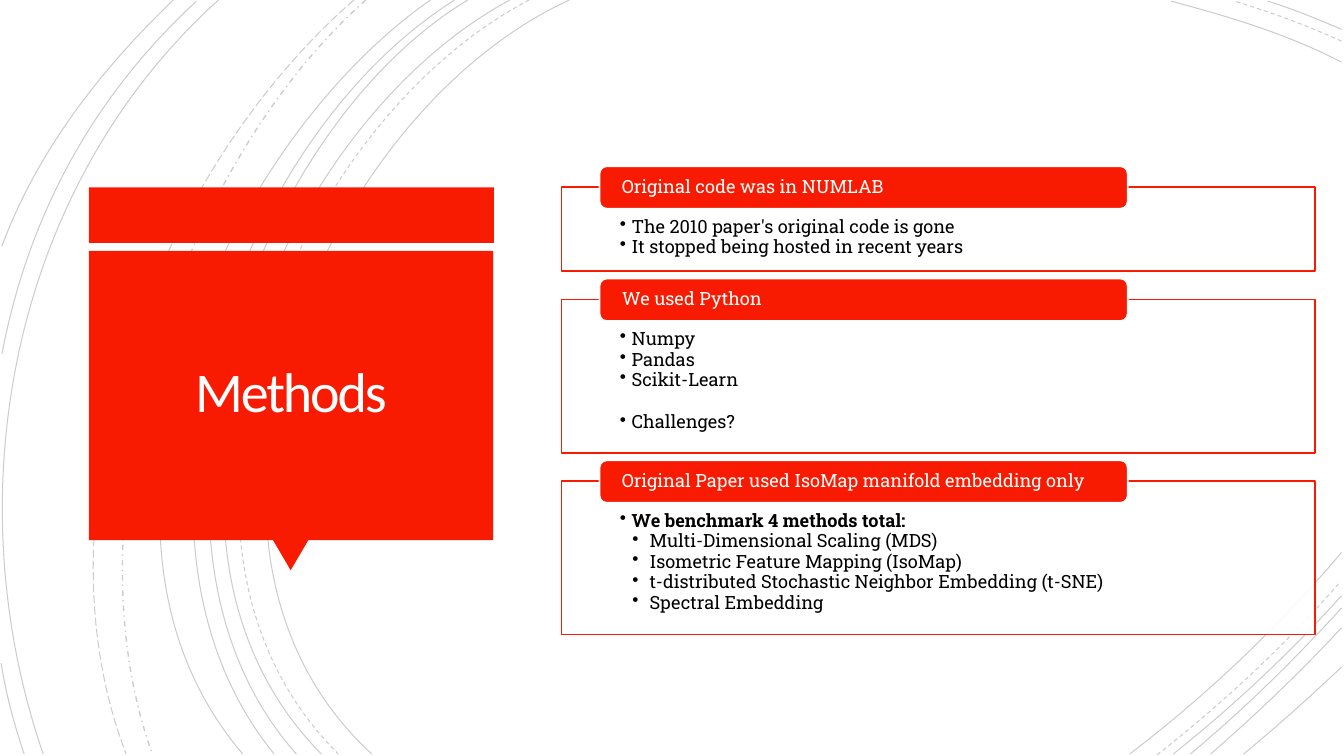
from lxml import etree
from pptx import Presentation
from pptx.dml.color import RGBColor
from pptx.enum.dml import MSO_LINE
from pptx.enum.shapes import MSO_SHAPE
from pptx.enum.text import MSO_ANCHOR, PP_ALIGN
from pptx.oxml.ns import qn
from pptx.util import Cm, Pt

RECTANGLE = MSO_SHAPE.RECTANGLE
ROUNDED = MSO_SHAPE.ROUNDED_RECTANGLE
TRIANGLE = MSO_SHAPE.ISOSCELES_TRIANGLE
TOP, MIDDLE = MSO_ANCHOR.TOP, MSO_ANCHOR.MIDDLE
LEFT, CENTER = PP_ALIGN.LEFT, PP_ALIGN.CENTER
SOLID, DASH = MSO_LINE.SOLID, MSO_LINE.DASH
LONG_DASH, DASH_DOT = MSO_LINE.LONG_DASH, MSO_LINE.DASH_DOT

RED, WHITE, BLACK, TITLE_WHITE = "F81B02", "FFFFFF", "000000", "FFFEFF"
BODY_FONT, TITLE_FONT = "Roboto Slab", "Calibri"

ARCS = [
    (SOLID, 0.75, [
        [(14.35, 0), (8, 2.92), (3.63, 13.72), (9.37, 19)],
        [(33.81, 1.57), (32.46, 0.86), (30.94, 0.41), (29.51, 0.03)],
        [(28.47, 19), (30.4, 17.53), (32.23, 15.8), (33.81, 13.92)],
        [(12.85, 0), (6.86, 3.23), (2.79, 13.64), (8.1, 19)],
        [(33.81, 0.74), (33.2, 0.48), (32.59, 0.23), (31.95, 0.03)],
        [(29.57, 19), (31.06, 17.81), (32.51, 16.46), (33.81, 15.01)],
        [(11.79, 0), (6.2, 3.38), (2.79, 13.74), (7.47, 19)],
        [(30, 19), (31.34, 17.88), (32.61, 16.64), (33.81, 15.32)],
        [(11.46, 0), (5.87, 3.51), (2.46, 13.54), (6.91, 19)],
        [(30.51, 19), (31.65, 18.01), (32.77, 16.94), (33.81, 15.82)],
        [(10.85, 0), (5.51, 3.73), (1.35, 13.44), (6.12, 19)],
        [(31.34, 19), (32.18, 18.31), (32.99, 17.58), (33.81, 16.81)],
        [(5.51, 0), (0.28, 4.7), (-1.17, 12.45), (1.09, 19)],
        [(4.95, 0.03), (2.34, 2.44), (0.71, 5.44), (0.05, 8.92)],
        [(0.03, 16.71), (0.15, 17.5), (0.36, 18.26), (0.61, 19)],
        [(4.37, 0), (2.54, 1.75), (0.94, 3.81), (0.05, 6.2)],
    ]),
    (DASH, 0.75, [
        [(13.34, 0), (7.24, 3.18), (3.12, 13.64), (8.53, 19)],
        [(33.81, 1.04), (32.94, 0.64), (32, 0.3), (31.12, 0.03)],
        [(29.16, 19.02), (30.81, 17.73), (32.39, 16.26), (33.78, 14.66)],
    ]),
    (DASH_DOT, 1, [[(9.22, 0), (4.47, 4.22), (1.65, 12.93), (3.84, 19)]]),
    (LONG_DASH, 0.75, [[(8.92, 0), (3.99, 4.29), (0.74, 12.67), (3.18, 19)]]),
]

PANELS = [
    ("Original code was in NUMLAB", 2.11, [
        ("The 2010 paper's original code is gone", 0, False, 0),
        ("It stopped being hosted in recent years", 0, False, 0),
    ]),
    ("We used Python", 3.86, [
        ("Numpy", 0, False, 0),
        ("Pandas", 0, False, 0),
        ("Scikit-Learn", 0, False, 0),
        ("Challenges?", 0, False, 15.6),
    ]),
    ("Original Paper used IsoMap manifold embedding only", 3.86, [
        ("We benchmark 4 methods total:", 0, True, 0),
        ("Multi-Dimensional Scaling (MDS)", 1, False, 0),
        ("Isometric Feature Mapping (IsoMap)", 1, False, 0),
        ("t-distributed Stochastic Neighbor Embedding (t-SNE)", 1, False, 0),
        ("Spectral Embedding", 1, False, 0),
    ]),
]
BULLET_INDENTS = [(0.3, -0.3), (0.75, -0.43)]
PANEL_TOP, PANEL_GAP = 4.72, 0.72


def color(hex_string):
    """Return the colour for a hex string."""
    return RGBColor.from_string(hex_string)


def set_opacity(shape, percent):
    """Set the opacity of the first colour in the shape's properties."""
    first_color = shape._element.spPr.find(".//" + qn("a:srgbClr"))
    etree.SubElement(first_color, qn("a:alpha"), val=str(percent * 1000))


def add_arc(slide, points, dash, width):
    """Draw one faint background curve through Bézier control points."""
    start, *others = [(Cm(x), Cm(y)) for x, y in points]
    builder = slide.shapes.build_freeform(*start)
    builder.add_line_segments(others, close=False)
    shape = builder.convert_to_shape()
    segments = list(shape._element.iter(qn("a:lnTo")))
    curve = etree.SubElement(segments[0].getparent(), qn("a:cubicBezTo"))
    for segment in segments:
        curve.append(segment[0])
        segment.getparent().remove(segment)
    shape.shadow.inherit = False
    shape.fill.background()
    shape.line.color.rgb = color(BLACK)
    shape.line.width = Pt(width)
    shape.line.dash_style = dash
    set_opacity(shape, 20)


def add_box(slide, kind, bounds, fill, line=None):
    """Add a filled preset shape with an optional outline."""
    shape = slide.shapes.add_shape(kind, *[Cm(length) for length in bounds])
    shape.shadow.inherit = False
    shape.fill.solid()
    shape.fill.fore_color.rgb = color(fill)
    if line:
        shape.line.color.rgb = color(line)
        shape.line.width = Pt(1.25)
    else:
        shape.line.fill.background()
    return shape


def set_frame(shape, anchor, side, top, bottom):
    """Set anchor, wrapping and margins, and return the text frame."""
    frame = shape.text_frame
    frame.word_wrap = True
    frame.vertical_anchor = anchor
    frame.margin_left = frame.margin_right = Cm(side)
    frame.margin_top, frame.margin_bottom = Cm(top), Cm(bottom)
    return frame


def write(paragraph, text, font, size, hex_string, align=LEFT, spacing=0.9):
    """Fill a paragraph and return its formatted run."""
    paragraph.text = text
    paragraph.alignment = align
    paragraph.line_spacing = spacing
    run = paragraph.runs[0]
    run.font.name = font
    run.font.size = Pt(size)
    run.font.color.rgb = color(hex_string)
    return run


def add_bullet(paragraph, level):
    """Give a paragraph a hanging bullet at the given level."""
    margin, indent = BULLET_INDENTS[level]
    properties = paragraph._p.get_or_add_pPr()
    properties.set("marL", str(Cm(margin)))
    properties.set("indent", str(Cm(indent)))
    etree.SubElement(properties, qn("a:buChar"), char="•")


def add_title(slide):
    """Add the red title block with its band and pointer."""
    add_box(slide, RECTANGLE, (2.24, 4.72, 10.21, 1.4), RED)
    pointer = add_box(slide, TRIANGLE, (6.88, 13.61, 0.89, 0.76), RED)
    pointer.rotation = 180
    block = add_box(slide, RECTANGLE, (2.24, 6.32, 10.19, 7.29), RED)
    frame = set_frame(block, MIDDLE, 0.64, 0.64, 0.64)
    run = write(frame.paragraphs[0], "Methods", TITLE_FONT, 40, TITLE_WHITE,
                CENTER, 0.85)
    run._r.get_or_add_rPr().set("spc", "-150")


def add_panel(slide, top, height, heading, lines):
    """Add an outlined panel of bullets with a heading tab."""
    panel = add_box(slide, RECTANGLE, (14.15, top, 19, height), WHITE, RED)
    set_opacity(panel, 90)
    frame = set_frame(panel, TOP, 1.47, 0.76, 0.25)
    frame.text = "\n".join(line[0] for line in lines)
    for paragraph, (text, level, bold, before) in zip(frame.paragraphs, lines):
        run = write(paragraph, text, BODY_FONT, 13, BLACK)
        run.font.bold = bold
        paragraph.space_before = Pt(before)
        paragraph.space_after = Pt(0.6)
        add_bullet(paragraph, level)
    tab = add_box(slide, ROUNDED, (15.11, top - 0.53, 13.31, 1.07), RED, WHITE)
    frame = set_frame(tab, MIDDLE, 0.51, 0, 0)
    write(frame.paragraphs[0], heading, BODY_FONT, 13, WHITE)


def main():
    """Build the slide and save it."""
    presentation = Presentation()
    presentation.slide_width, presentation.slide_height = Cm(33.87), Cm(19.05)
    slide = presentation.slides.add_slide(presentation.slide_layouts[6])
    for dash, width, curves in ARCS:
        for points in curves:
            add_arc(slide, points, dash, width)
    add_title(slide)
    top = PANEL_TOP
    for heading, height, lines in PANELS:
        add_panel(slide, top, height, heading, lines)
        top += height + PANEL_GAP
    presentation.save("out.pptx")


if __name__ == "__main__":
    main()
